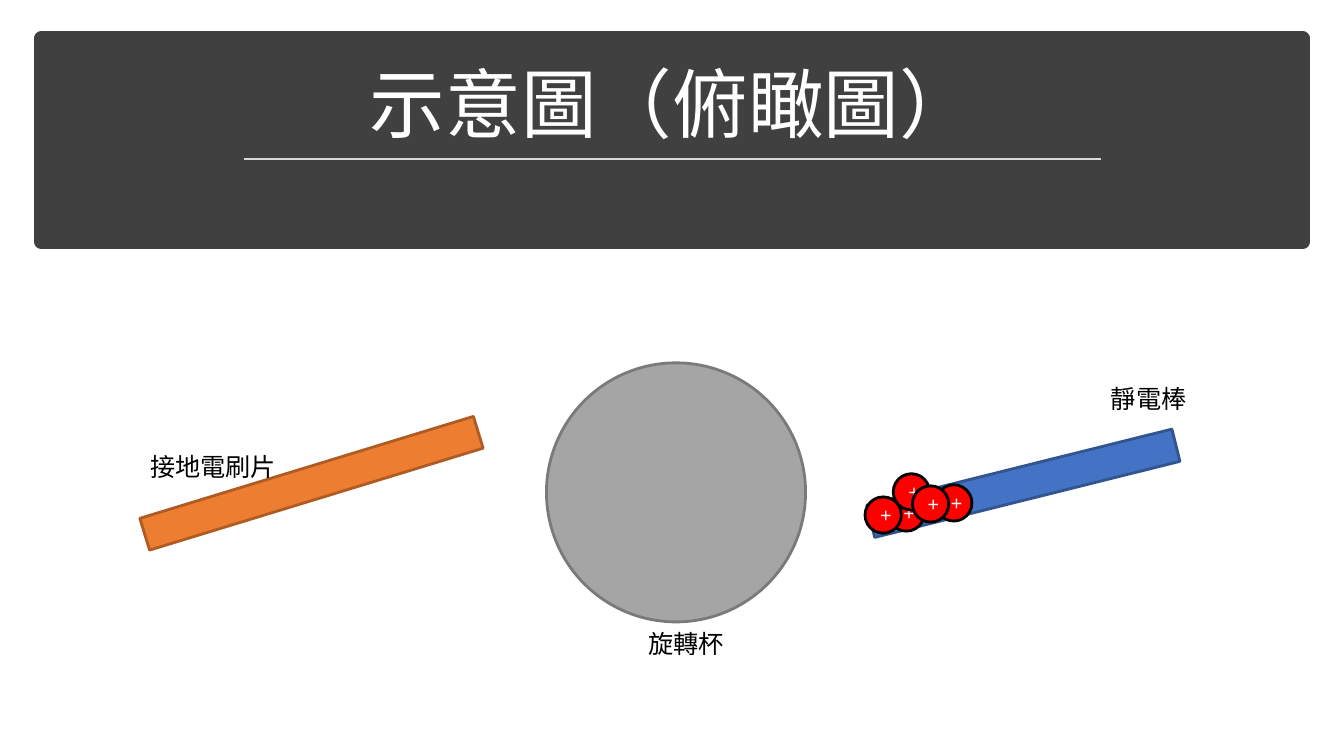
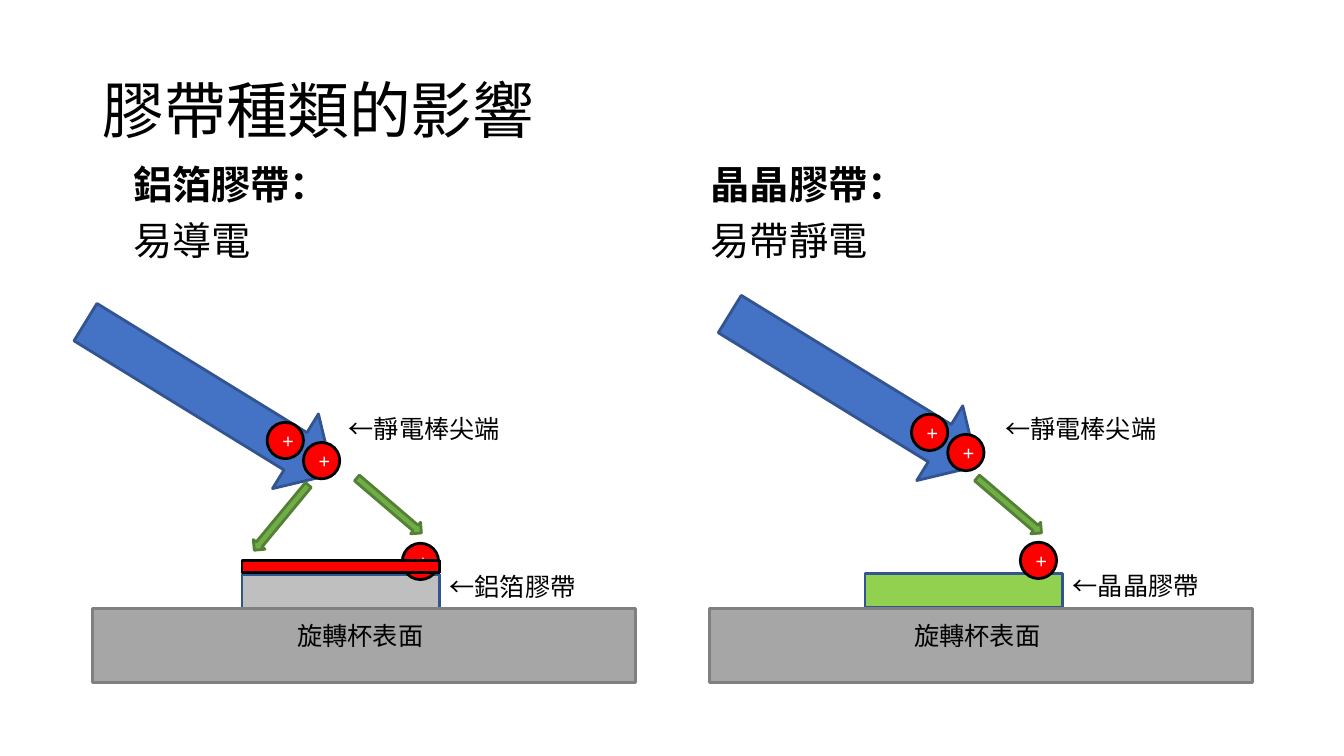
from lxml import etree
from pptx import Presentation
from pptx.dml.color import RGBColor
from pptx.enum import shapes, text
from pptx.oxml import ns
from pptx.util import Inches, Pt

SHAPE, ALIGN, ANCHOR = shapes.MSO_SHAPE, text.PP_ALIGN, text.MSO_ANCHOR
BLACK, WHITE = "000000", "FFFFFF"
ROD = ("4472C4", "325491")
CHARGE = ("FF0000", BLACK)
BRUSH = ("ED7D31", "AF5C24")
CUP = ("A5A5A5", "7A7A7A")
SURFACE = ("A6A6A6", "808080")
SPARK = ("70AD47", "538035")
BALL = 0.36

# Content: overhead view
TOP_TITLE = "示意圖（俯瞰圖）"
TOP_PARTS = [  # preset, box, colours, rotation
    (SHAPE.OVAL, (5.42, 3.6, 2.57, 2.57), CUP, 0),
    (SHAPE.RECTANGLE, (8.59, 4.63, 3.12, 0.33), ROD, 346),
    (SHAPE.RECTANGLE, (1.36, 4.63, 3.46, 0.33), BRUSH, 343),
]
TOP_LABELS = [("接地電刷片", 1.39, 4.43, 1.65), ("靜電棒", 10.92, 3.75, 1.16),
              ("旋轉杯", 6.33, 6.18, 1.52)]
TOP_CHARGES = [(9.28, 4.81), (8.81, 4.91), (8.58, 4.93), (8.86, 4.7), (9.05, 4.82)]

# Content: comparison of tapes
TAPE_TITLE = "膠帶種類的影響"
TAPES = [
    dict(name="鋁箔膠帶", effect="易導電", body_x=1.1, cup_x=0.92, tape=(2.4, 5.7),
         fill="BFBFBF", rod=(1.64, 2.51), tip_x=3.36, landed=(3.99, 5.39),
         charged_top=True, sparks=[(3.44, 4.94, 40.5), (2.37, 5.06, 129.6)]),
    dict(name="晶晶膠帶", effect="易帶靜電", body_x=6.83, cup_x=7.04, tape=(8.58, 5.69),
         fill="92D050", rod=(8.03, 2.43), tip_x=9.87, landed=(10.12, 5.38),
         charged_top=False, sparks=[(9.59, 4.94, 40.5)]),
]
ROD_CHARGES = [(1.01, 1.68), (1.37, 1.88)]  # offsets from the rod's box
TAPE_W, TAPE_H = 1.96, 0.34


def rgb(value):
    return RGBColor.from_string(value)


def format_runs(p, size, font, color, bold=False):
    for r in p.runs:
        r.font.size, r.font.name, r.font.bold = Pt(size), font, bold
        r.font.color.rgb = rgb(color)


def place(sp, x, y, w, h):
    sp.left, sp.top, sp.width, sp.height = map(Inches, (x, y, w, h))


def add_part(slide, preset, box, colors, rotation=0, width=2):
    sp = slide.shapes.add_shape(preset, *map(Inches, box))
    sp.shadow.inherit = False
    sp.fill.solid()
    sp.fill.fore_color.rgb = rgb(colors[0])
    sp.line.color.rgb = rgb(colors[1])
    sp.line.width = Pt(width)
    sp.rotation = rotation
    return sp


def add_charge(slide, x, y):
    sp = add_part(slide, SHAPE.OVAL, (x, y, BALL, BALL), CHARGE)
    tf = sp.text_frame
    tf.text = "+"
    tf.vertical_anchor = ANCHOR.MIDDLE
    p = tf.paragraphs[0]
    p.alignment = ALIGN.CENTER
    format_runs(p, 14, "Arial", WHITE)


def add_label(slide, words, x, y, w):
    tf = slide.shapes.add_textbox(*map(Inches, (x, y, w, 0.4))).text_frame
    tf.word_wrap = True
    tf.auto_size = text.MSO_AUTO_SIZE.SHAPE_TO_FIT_TEXT
    tf.text = words
    format_runs(tf.paragraphs[0], 18, "Arial", BLACK)


def set_title(slide, words, box, size, color, align, anchor):
    sp = slide.shapes.title
    place(sp, *box)
    tf = sp.text_frame
    tf.text = words
    tf.auto_size = text.MSO_AUTO_SIZE.NONE
    tf.vertical_anchor = anchor
    p = tf.paragraphs[0]
    p.alignment, p.line_spacing = align, 0.9
    format_runs(p, size, "Calibri", color)


def set_body(sp, x, lines):
    place(sp, x, 1.59, 5.2, 1.69)
    tf = sp.text_frame
    tf.text = "\n".join(lines)
    tf.auto_size = text.MSO_AUTO_SIZE.NONE
    for i, p in enumerate(tf.paragraphs):
        p.line_spacing, p.space_before = 0.9, Pt(10)
        format_runs(p, 28, "Calibri", BLACK, bold=i == 0)
        pPr = p._p.get_or_add_pPr()
        pPr.set("marL", str(Inches(0.12)))
        pPr.set("indent", "0")
        etree.SubElement(pPr, ns.qn("a:buNone"))


def build_top_view(prs):
    slide = prs.slides.add_slide(prs.slide_layouts[5])
    # Title band, behind the title
    band = add_part(slide, SHAPE.RECTANGLE, (0.41, 0.38, 12.51, 2.02),
                    ("404040", "404040"), width=10)
    slide.shapes.title._element.addprevious(band._element)
    set_title(slide, TOP_TITLE, (0.58, 0.51, 12.18, 1.02), 54, WHITE,
              ALIGN.CENTER, ANCHOR.BOTTOM)
    rule = slide.shapes.add_connector(
        shapes.MSO_CONNECTOR.STRAIGHT, *map(Inches, (2.42, 1.58, 10.92, 1.58)))
    rule.line.color.rgb = rgb("D9D9D9")
    rule.line.width = Pt(1.75)
    etree.SubElement(rule._element.spPr, ns.qn("a:effectLst"))
    # Apparatus
    for part in TOP_PARTS:
        add_part(slide, *part)
    for label in TOP_LABELS:
        add_label(slide, *label)
    for spot in TOP_CHARGES:
        add_charge(slide, *spot)


def draw_tape(slide, t):
    # Tape on the cup's surface
    x, y = t["tape"]
    add_part(slide, SHAPE.RECTANGLE, (x, y, TAPE_W, TAPE_H), (t["fill"], ROD[1]))
    add_part(slide, SHAPE.RECTANGLE, (t["cup_x"], 6.04, 5.38, 0.73), SURFACE)
    add_label(slide, "旋轉杯表面", t["cup_x"] + 1.93, 6.1, 1.52)
    add_label(slide, "←" + t["name"], x + TAPE_W, y - 0.08, 1.52)
    add_charge(slide, *t["landed"])
    if t["charged_top"]:
        add_part(slide, SHAPE.RECTANGLE, (x, y - 0.14, TAPE_W, 0.12), CHARGE)
    # Charged rod
    rod_x, rod_y = t["rod"]
    add_part(slide, SHAPE.DOWN_ARROW, (rod_x, rod_y, 0.87, 2.88), ROD, 301.6)
    for dx, dy in ROD_CHARGES:
        add_charge(slide, rod_x + dx, rod_y + dy)
    add_label(slide, "←靜電棒尖端", t["tip_x"], 4.05, 2.08)
    # Discharge
    for sx, sy, angle in t["sparks"]:
        add_part(slide, SHAPE.RIGHT_ARROW, (sx, sy, 0.84, 0.15), SPARK, angle)


def build_tapes(prs):
    slide = prs.slides.add_slide(prs.slide_layouts[3])
    set_title(slide, TAPE_TITLE, (0.92, 0.4, 11.5, 1.45), 44, BLACK,
              ALIGN.LEFT, ANCHOR.MIDDLE)
    for body, t in zip(list(slide.placeholders)[1:], TAPES):
        set_body(body, t["body_x"], [t["name"] + "：", t["effect"]])
        draw_tape(slide, t)


def main():
    prs = Presentation()
    prs.slide_width, prs.slide_height = Inches(13.33), Inches(7.5)
    build_top_view(prs)
    build_tapes(prs)
    prs.save("out.pptx")


if __name__ == "__main__":
    main()
